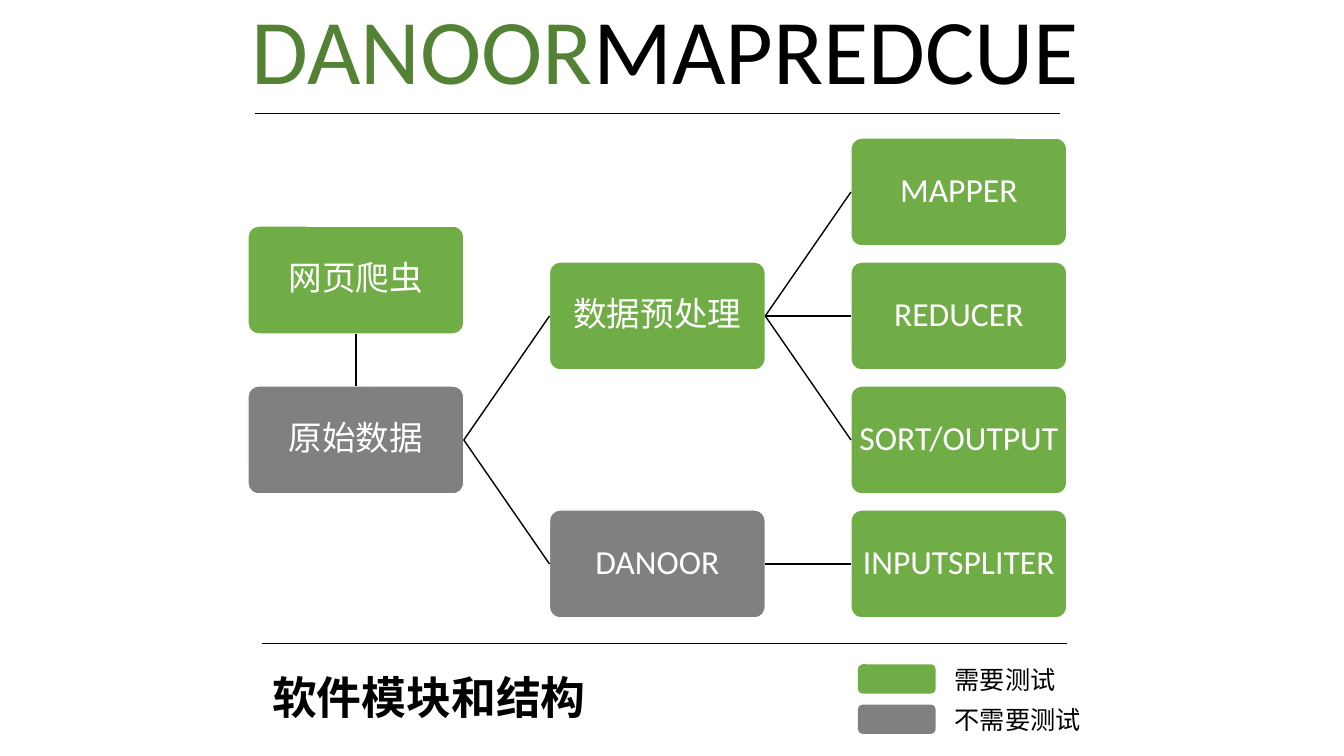
from dataclasses import dataclass

from lxml.etree import SubElement
from pptx import Presentation
from pptx.dml.color import RGBColor
from pptx.enum.shapes import MSO_CONNECTOR, MSO_SHAPE
from pptx.enum.text import MSO_ANCHOR, PP_ALIGN
from pptx.oxml.ns import qn
from pptx.shapes.autoshape import Shape
from pptx.shapes.connector import Connector
from pptx.slide import Slide
from pptx.text.text import TextFrame, _Paragraph
from pptx.util import Inches, Pt

GREEN = "70AD47"
DARK_GREEN = "548235"
GRAY = "808080"
BLACK = "000000"
WHITE = "FFFFFF"
LATIN_FONT = "Calibri"
CHINESE_FONT = "Noto Sans CJK SC"

LEFT, TOP = 2.46, 1.37
COLUMN_STEP, ROW_STEP = 2.99, 1.23
MODULE_WIDTH, MODULE_HEIGHT = 2.14, 1.07
LEGEND_TOP, LEGEND_STEP = 6.59, 0.4
TOP_SITE, LEFT_SITE, BOTTOM_SITE, RIGHT_SITE = range(4)


@dataclass
class Module:
    label: str
    column: int
    row: float
    fill: str = GREEN
    font: str = LATIN_FONT


@dataclass
class Link:
    source: str
    target: str
    source_site: int = RIGHT_SITE
    target_site: int = LEFT_SITE


@dataclass
class Rule:
    left: float
    top: float
    width: float = 7.98


@dataclass
class LegendEntry:
    label: str
    fill: str
    width: float


MODULES = [
    Module("网页爬虫", 0, 0.71, font=CHINESE_FONT),
    Module("原始数据", 0, 2, GRAY, CHINESE_FONT),
    Module("数据预处理", 1, 1, font=CHINESE_FONT),
    Module("DANOOR", 1, 3, GRAY),
    Module("MAPPER", 2, 0),
    Module("REDUCER", 2, 1),
    Module("SORT/OUTPUT", 2, 2),
    Module("INPUTSPLITER", 2, 3),
]
LINKS = [
    Link("网页爬虫", "原始数据", BOTTOM_SITE, TOP_SITE),
    Link("原始数据", "数据预处理"),
    Link("原始数据", "DANOOR"),
    Link("数据预处理", "MAPPER"),
    Link("数据预处理", "REDUCER"),
    Link("数据预处理", "SORT/OUTPUT"),
    Link("DANOOR", "INPUTSPLITER"),
]
RULES = [Rule(2.53, 1.12), Rule(2.6, 6.38)]
LEGEND = [LegendEntry("需要测试", GREEN, 1.21), LegendEntry("不需要测试", GRAY, 1.46)]


def color(value: str) -> RGBColor:
    return RGBColor.from_string(value)


def add_span(para: _Paragraph, text: str, size: float, font: str,
             ink: str = BLACK, bold: bool = False) -> None:
    span = para.add_run()
    span.text = text
    span.font.size = Pt(size)
    span.font.name = font
    span.font.bold = bold
    span.font.color.rgb = color(ink)
    SubElement(span.font._element, qn("a:ea"), typeface=font)


def add_text_frame(page: Slide, left: float, top: float, width: float,
                   height: float, wrap: bool = True) -> TextFrame:
    box = page.shapes.add_textbox(Inches(left), Inches(top), Inches(width), Inches(height))
    box.text_frame.word_wrap = wrap
    return box.text_frame


def add_rounded_box(page: Slide, left: float, top: float, width: float,
                    height: float, fill: str) -> Shape:
    box = page.shapes.add_shape(MSO_SHAPE.ROUNDED_RECTANGLE, Inches(left), Inches(top),
                                Inches(width), Inches(height))
    box.shadow.inherit = False
    box.fill.solid()
    box.fill.fore_color.rgb = color(fill)
    box.line.fill.background()
    return box


def add_module(page: Slide, module: Module) -> Shape:
    box = add_rounded_box(page, LEFT + module.column * COLUMN_STEP,
                          TOP + module.row * ROW_STEP,
                          MODULE_WIDTH, MODULE_HEIGHT, module.fill)
    box.adjustments[0] = 0.1
    box.line.color.rgb = color(WHITE)
    box.line.width = Pt(1)
    frame = box.text_frame
    frame.word_wrap = True
    frame.vertical_anchor = MSO_ANCHOR.MIDDLE
    frame.margin_left = frame.margin_right = Inches(0.02)
    frame.margin_top = frame.margin_bottom = Inches(0.02)
    para = frame.paragraphs[0]
    para.alignment = PP_ALIGN.CENTER
    para.line_spacing = 0.9
    add_span(para, module.label, 24, module.font, WHITE)
    return box


def add_line(page: Slide, left: float, top: float, width: float, weight: float) -> Connector:
    line = page.shapes.add_connector(MSO_CONNECTOR.STRAIGHT, Inches(left), Inches(top),
                                     Inches(left + width), Inches(top))
    line.line.color.rgb = color(BLACK)
    line.line.width = Pt(weight)
    SubElement(line._element.spPr, qn("a:effectLst"))
    return line


def add_link(page: Slide, link: Link, boxes: dict[str, Shape]) -> None:
    line = add_line(page, LEFT, TOP, 1, 1)
    line.begin_connect(boxes[link.source], link.source_site)
    line.end_connect(boxes[link.target], link.target_site)


def add_legend_entry(page: Slide, entry: LegendEntry, top: float) -> None:
    add_rounded_box(page, 8.51, top, 0.77, 0.29, entry.fill)
    frame = add_text_frame(page, 9.37, top - 0.05, entry.width, 0.4, wrap=False)
    add_span(frame.paragraphs[0], entry.label, 18, CHINESE_FONT)


def add_headings(page: Slide) -> None:
    title = add_text_frame(page, 2.4, -0.52, 10, 2.61)
    title.vertical_anchor = MSO_ANCHOR.BOTTOM
    title.margin_bottom = Inches(1.05)
    para = title.paragraphs[0]
    para.line_spacing = 0.9
    add_span(para, "DANOOR", 66, LATIN_FONT, DARK_GREEN)
    add_span(para, "MAPREDCUE", 66, LATIN_FONT)
    subtitle = add_text_frame(page, 2.6, 6.59, 3.34, 0.71)
    add_span(subtitle.paragraphs[0], "软件模块和结构", 32, CHINESE_FONT, bold=True)


def main() -> None:
    deck = Presentation()
    deck.slide_width = Inches(13.33)
    deck.slide_height = Inches(7.5)
    page = deck.slides.add_slide(deck.slide_layouts[6])
    add_headings(page)
    for rule in RULES:
        add_line(page, rule.left, rule.top, rule.width, 0.5)
    boxes = {module.label: add_module(page, module) for module in MODULES}
    for link in LINKS:
        add_link(page, link, boxes)
    for index, entry in enumerate(LEGEND):
        add_legend_entry(page, entry, LEGEND_TOP + index * LEGEND_STEP)
    deck.save("out.pptx")


if __name__ == "__main__":
    main()
